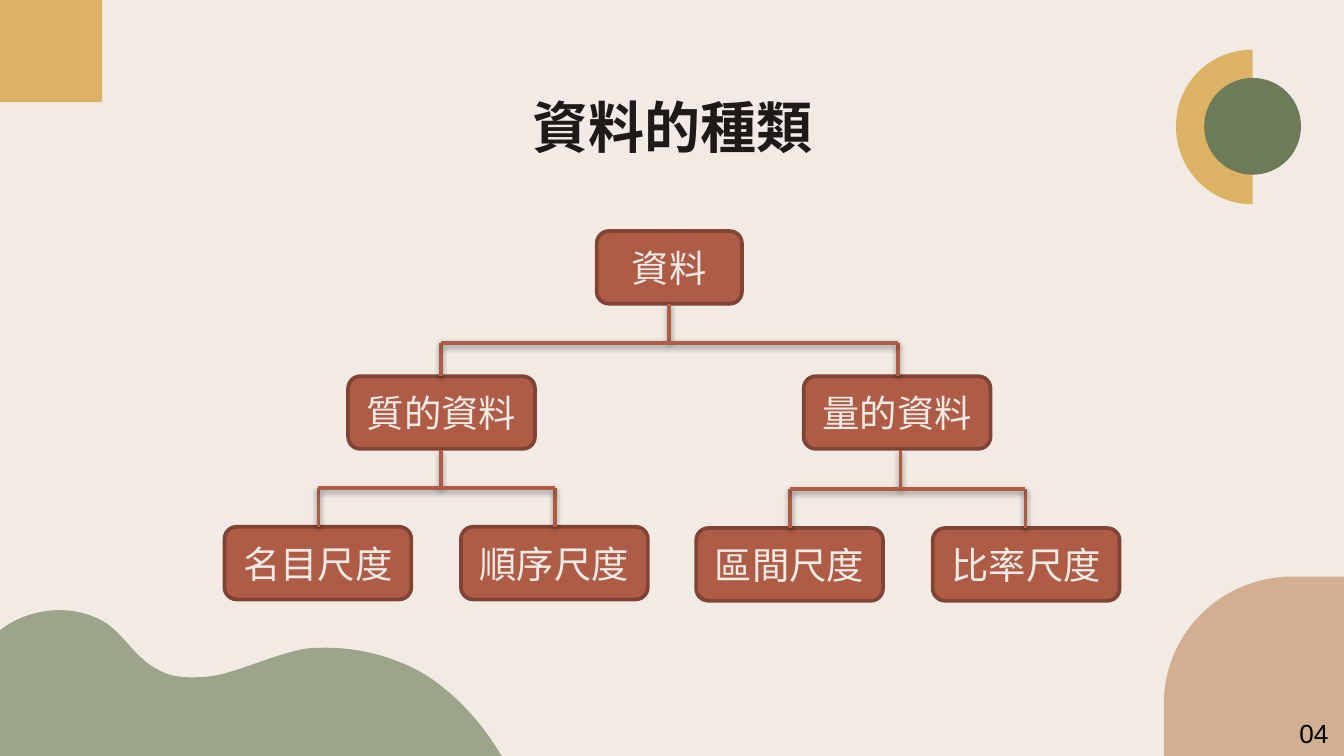
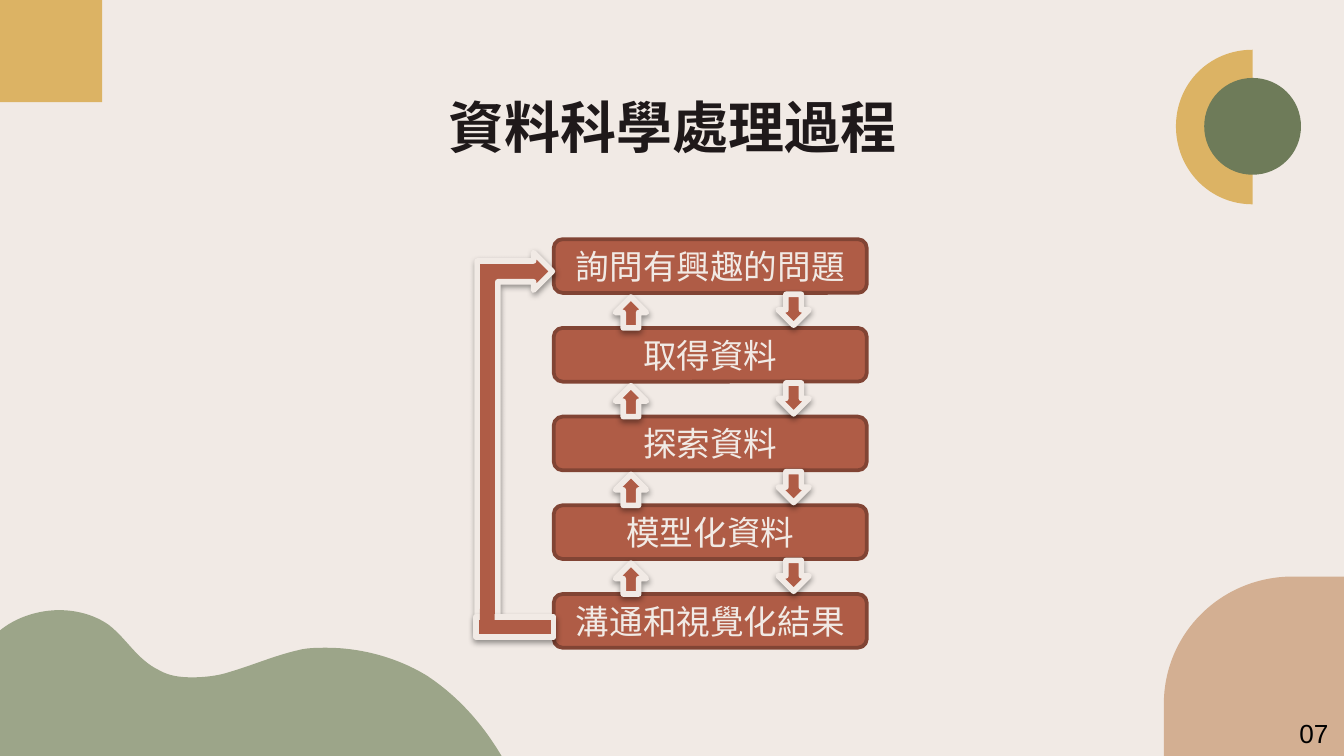
"""Build two slides on data types and the data science process."""
import pptx
import pptx.util
import pptx.oxml
import pptx.oxml.ns
import pptx.dml.color
import pptx.enum.shapes
import pptx.enum.text

Inches, Pt = pptx.util.Inches, pptx.util.Pt
tone = pptx.dml.color.RGBColor.from_string
tag = pptx.oxml.ns.qn
KIND = pptx.enum.shapes.MSO_SHAPE
STRAIGHT = pptx.enum.shapes.MSO_CONNECTOR.STRAIGHT
ALIGN = pptx.enum.text.PP_ALIGN
ANCHOR = pptx.enum.text.MSO_ANCHOR

CREAM, INK, BLACK = "F1EAE5", "1F191A", "000000"
GOLD, TAN, SAGE, MOSS = "DCB364", "D3AF92", "9CA589", "6E7B59"
RUST, BROWN = "AF5C46", "814434"
SHADE = ('<a:outerShdw blurRad="40000" dist="20000" dir="5400000" rotWithShape="0">'
         '<a:srgbClr val="000000"><a:alpha val="38000"/></a:srgbClr></a:outerShdw>')


def paint(shape, fill=None, line=None, width=2, shade=""):
    if fill:
        shape.fill.solid()
        shape.fill.fore_color.rgb = tone(fill)
    if line:
        shape.line.color.rgb = tone(line)
        shape.line.width = Pt(width)
    else:
        shape.line.fill.background()
    space = pptx.oxml.ns.nsdecls("a")
    shape._element.spPr.append(
        pptx.oxml.parse_xml(f"<a:effectLst {space}>{shade}</a:effectLst>"))


def write(shape, text, color, look, align, anchor, inset=0.05):
    frame = shape.text_frame
    form = {"word_wrap": True, "vertical_anchor": anchor,
            "margin_top": Inches(inset), "margin_bottom": Inches(inset)}
    for key, value in form.items():
        setattr(frame, key, value)
    para = frame.paragraphs[0]
    para.alignment = align
    run = para.add_run()
    run.text = text
    for key, value in look.items():
        setattr(run.font, key, value)
    run.font.color.rgb = tone(color)


HEAD = {"name": "Manrope", "size": Pt(30), "bold": True}
FOOT = {"name": "Arial", "size": Pt(14)}
NODE = {"name": "Arial", "size": Pt(20)}
STEP = {"name": "Arial", "size": Pt(18)}

CURVES = [
    (TAN, [(9.62, 4.29), (9.09, 4.29, 8.66, 4.71, 8.66, 5.24),
           (8.66, 5.63), (10, 5.63), (10, 4.29)]),
    (SAGE, [(0.44, 4.54), (0.25, 4.54, 0.05, 4.62, -0.06, 4.75),
            (-0.03, 5.69),
            (0.14, 5.69, 0.32, 5.69, 0.5, 5.69),
            (1.43, 5.69, 2.35, 5.71, 3.28, 5.71),
            (3.45, 5.71, 3.62, 5.71, 3.78, 5.71),
            (3.64, 5.45, 3.45, 5.21, 3.18, 5.03),
            (2.97, 4.9, 2.7, 4.82, 2.43, 4.82),
            (2.36, 4.82, 2.28, 4.82, 2.21, 4.84),
            (2.04, 4.88, 1.88, 4.95, 1.71, 5),
            (1.62, 5.03, 1.52, 5.04, 1.43, 5.04),
            (1.34, 5.04, 1.26, 5.03, 1.19, 4.99),
            (1.02, 4.91, 0.95, 4.76, 0.81, 4.65),
            (0.71, 4.58, 0.58, 4.54, 0.44, 4.54)]),
    (GOLD, [(9.32, 0.37), (9.32, 1.52), (9, 1.52, 8.75, 1.26, 8.75, 0.94),
            (8.75, 0.62, 9, 0.37, 9.32, 0.37)]),
    (MOSS, [(9.32, 0.58), (9.52, 0.58, 9.68, 0.74, 9.68, 0.94),
            (9.68, 1.14, 9.52, 1.3, 9.32, 1.3),
            (9.12, 1.3, 8.96, 1.14, 8.96, 0.94),
            (8.96, 0.74, 9.12, 0.58, 9.32, 0.58)]),
]

deck = pptx.Presentation()
deck.slide_width = Inches(10)
deck.slide_height = Inches(10) * 9 // 16

pages = []
for title, number in [("資料的種類", "04"), ("資料科學處理過程", "07")]:
    slide = deck.slides.add_slide(deck.slide_layouts[6])
    slide.background.fill.solid()
    slide.background.fill.fore_color.rgb = tone(CREAM)
    shapes = slide.shapes
    pages.append(shapes)
    paint(shapes.add_shape(KIND.RECTANGLE, 0, 0, Inches(0.76), Inches(0.76)), GOLD)
    for color, parts in CURVES:
        dots = [(Inches(x), Inches(y)) for part in parts
                for x, y in zip(part[::2], part[1::2])]
        outline = shapes.build_freeform(*dots[0])
        outline.add_line_segments(dots[1:], close=True)
        shape = outline.convert_to_shape()
        paint(shape, color)
        sides = iter(shape._element.spPr.findall(".//" + tag("a:lnTo")))
        for part in parts[1:]:
            side = next(sides)
            if len(part) == 6:
                side.tag = tag("a:cubicBezTo")
                for extra in (next(sides), next(sides)):
                    side.append(extra[0])
                    extra.getparent().remove(extra)
    box = shapes.add_textbox(Inches(0.79), Inches(0.59), Inches(8.43), Inches(0.72))
    write(box, title, INK, HEAD, ALIGN.CENTER, ANCHOR.TOP, 0.1)
    box = shapes.add_textbox(Inches(9.57), Inches(5.29), Inches(0.43), Inches(0.34))
    write(box, number, BLACK, FOOT, ALIGN.LEFT, ANCHOR.TOP)

tree, flow = pages

nodes = [
    ("資料", 4.44, 1.72, 1.08),
    ("質的資料", 2.59, 2.8, 1.39), ("量的資料", 5.98, 2.8, 1.39),
    ("名目尺度", 1.67, 3.92, 1.39), ("順序尺度", 3.43, 3.92, 1.39),
    ("區間尺度", 5.18, 3.93, 1.39), ("比率尺度", 6.94, 3.93, 1.39),
]
for text, left, top, width in nodes:
    node = tree.add_shape(KIND.ROUNDED_RECTANGLE, Inches(left), Inches(top),
                          Inches(width), Inches(0.54))
    paint(node, RUST, BROWN)
    write(node, text, CREAM, NODE, ALIGN.CENTER, ANCHOR.MIDDLE)

forks = [
    (4.98, 2.26, 2.55, 2.8, 3.28, 6.68),
    (3.28, 3.35, 3.63, 3.92, 2.37, 4.13),
    (6.7, 3.35, 3.64, 3.93, 5.88, 7.63),
]
for stem, top, bar, foot, left, right in forks:
    for ends in [(stem, top, stem, bar), (left, bar, left, foot),
                 (right, bar, right, foot), (right, bar, left, bar)]:
        line = tree.add_connector(STRAIGHT, *map(Inches, ends))
        paint(line, line=RUST, shade=SHADE)

steps = ["詢問有興趣的問題", "取得資料", "探索資料", "模型化資料", "溝通和視覺化結果"]
PITCH = 0.66
for row, text in enumerate(steps):
    step = flow.add_shape(KIND.ROUNDED_RECTANGLE, Inches(4.12),
                          Inches(1.78 + row * PITCH), Inches(2.33), Inches(0.4))
    paint(step, RUST, BROWN)
    write(step, text, CREAM, STEP, ALIGN.CENTER, ANCHOR.MIDDLE)

for left, top, turn in [(5.79, 2.19, 90), (4.58, 2.21, 270)]:
    for row in range(len(steps) - 1):
        arrow = flow.add_shape(KIND.RIGHT_ARROW, Inches(left),
                               Inches(top + row * PITCH), Inches(0.23), Inches(0.23))
        arrow.rotation = turn
        paint(arrow, RUST, CREAM, 3, SHADE)

loop = flow.add_shape(KIND.BENT_UP_ARROW, Inches(2.43), Inches(3),
                      Inches(2.8), Inches(0.56))
loop.rotation = 270
loop._element.spPr.xfrm.set("flipV", "1")
for index, value in enumerate([0.275, 0.25, 0.25]):
    loop.adjustments[index] = value
paint(loop, RUST, CREAM, 3, SHADE)
tail = flow.add_shape(KIND.RECTANGLE, Inches(3.54), Inches(4.59),
                      Inches(0.58), Inches(0.15))
paint(tail, RUST, CREAM, 3, SHADE)
joint = flow.add_shape(KIND.RECTANGLE, Inches(3.55), Inches(4.55),
                       Inches(0.15), Inches(0.11))
joint.rotation = 90
paint(joint, RUST)

deck.save("out.pptx")
